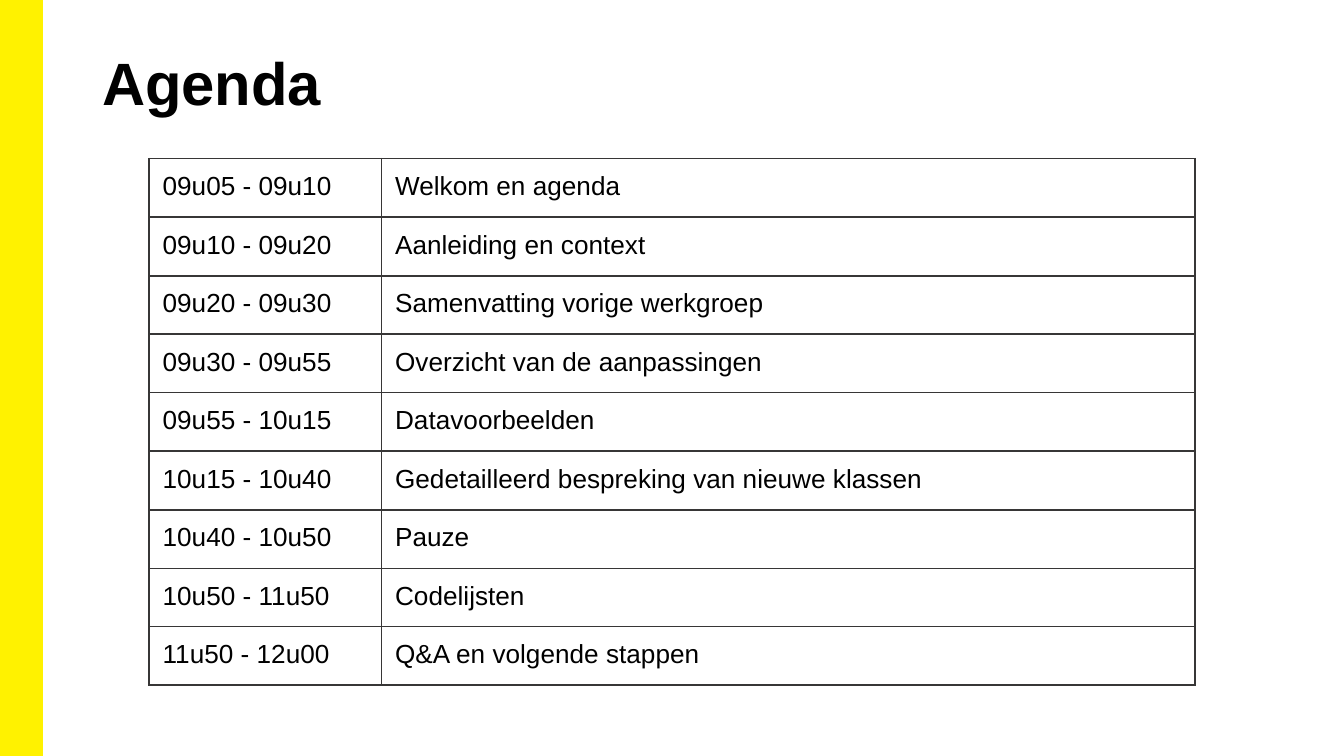
from pptx import Presentation
from pptx import util as u
from pptx.dml.color import RGBColor
from pptx.enum import shapes, text
from pptx.oxml import parse_xml
from pptx.oxml.ns import nsdecls

YELLOW = RGBColor(0xFF, 0xF2, 0x00)
BLACK = RGBColor(0x00, 0x00, 0x00)
GREY = RGBColor(0x37, 0x36, 0x36)

WIDE = u.Inches(10)
HIGH = WIDE * 9 // 16
PAD = u.Inches(0.1)
COLS = (u.Inches(1.73), u.Inches(6.05))
TALL = u.Pt(31.4)
SHORT = {2: u.Inches(0.41), 7: u.Inches(0.41), 8: u.Inches(0.39)}

AGENDA = [
    ("09u05 - 09u10", "Welkom en agenda"),
    ("09u10 - 09u20", "Aanleiding en context"),
    ("09u20 - 09u30", "Samenvatting vorige werkgroep"),
    ("09u30 - 09u55", "Overzicht van de aanpassingen"),
    ("09u55 - 10u15", "Datavoorbeelden"),
    ("10u15 - 10u40", "Gedetailleerd bespreking van nieuwe klassen"),
    ("10u40 - 10u50", "Pauze"),
    ("10u50 - 11u50", "Codelijsten"),
    ("11u50 - 12u00", "Q&A en volgende stappen"),
]


def style(frame, size, bold=False):
    for run in frame.paragraphs[0].runs:
        run.font.name = "Arial"
        run.font.size = u.Pt(size)
        run.font.bold = bold
        run.font.color.rgb = BLACK


def add_band(slide, box):
    band = slide.shapes.add_shape(shapes.MSO_SHAPE.RECTANGLE, *box)
    band.shadow.inherit = False
    band.fill.solid()
    band.fill.fore_color.rgb = YELLOW
    band.line.color.rgb = YELLOW
    band.line.width = u.Pt(1)


def add_title(slide, box, words):
    frame = slide.shapes.add_textbox(*box).text_frame
    frame.word_wrap = True
    frame.vertical_anchor = text.MSO_ANCHOR.TOP
    frame.margin_left = frame.margin_right = u.Inches(0.07)
    frame.margin_top = frame.margin_bottom = u.Inches(0.04)
    frame.text = words
    style(frame, 32, bold=True)


def add_edges(cell):
    props = cell._tc.get_or_add_tcPr()
    for spot, side in enumerate(("lnL", "lnR", "lnT", "lnB")):
        props.insert(spot, parse_xml(
            f'<a:{side} {nsdecls("a")} w="{u.Pt(1)}"><a:solidFill>'
            f'<a:srgbClr val="{GREY}"/></a:solidFill></a:{side}>'))


def fill_cell(cell, words):
    cell.margin_left = cell.margin_right = PAD
    cell.margin_top = cell.margin_bottom = PAD
    cell.fill.background()
    cell.text_frame.text = words
    style(cell.text_frame, 14)
    add_edges(cell)


def add_agenda(slide, box, items):
    holder = slide.shapes.add_table(len(items), len(COLS), *box)
    grid = holder.table
    grid.first_row = grid.horz_banding = False
    for col, width in zip(grid.columns, COLS):
        col.width = width
    for index, (row, item) in enumerate(zip(grid.rows, items)):
        row.height = SHORT.get(index, TALL)
        for cell, words in zip(row.cells, item):
            fill_cell(cell, words)
    holder.width, holder.height = box[2:]


def main():
    deck = Presentation()
    deck.slide_width, deck.slide_height = WIDE, HIGH
    slide = deck.slides.add_slide(deck.slide_layouts[6])
    add_band(slide, (0, 0, u.Inches(0.31), HIGH))
    add_title(slide, [u.Inches(n) for n in (0.69, 0.3, 8.62, 0.81)], "Agenda")
    add_agenda(slide, [u.Inches(n) for n in (1.11, 1.18, 3.28, 3.28)], AGENDA)
    deck.save("out.pptx")


if __name__ == "__main__":
    main()
